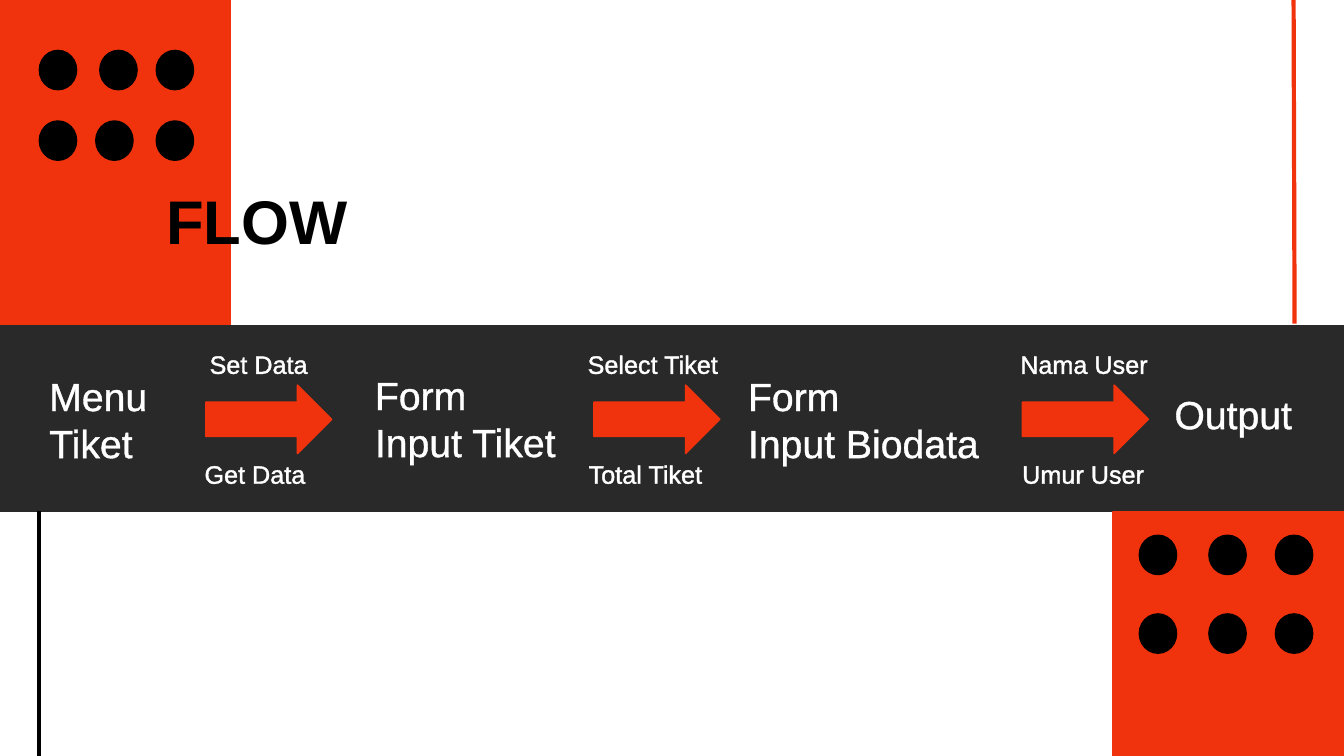
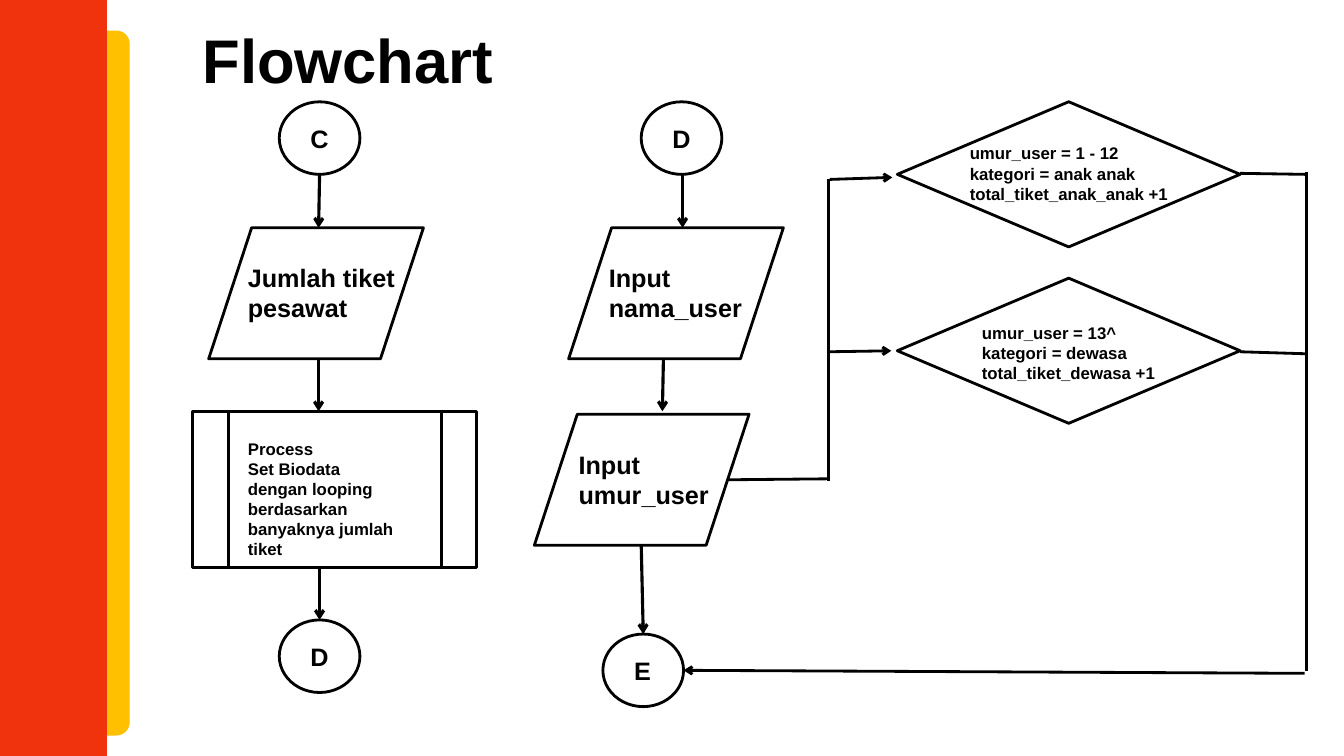
"""Build two slides: the ticket data flow and its flowchart."""
import itertools

import pptx
import pptx.dml.color
import pptx.enum.shapes
import pptx.enum.text
import pptx.oxml.ns
import pptx.util
from lxml import etree

GEOMETRY = pptx.enum.shapes.MSO_SHAPE
WIDTH, HEIGHT = 13.33, 7.5
FONT = "Arial"
RED, YELLOW, BLACK, WHITE, CHARCOAL = "F1330D", "FFC000", "000000", "FFFFFF", "292929"

BAND_TOP, BAND_HEIGHT = 3.23, 1.84
DOT_SIZE = (0.37, 0.39)
DOT_GRIDS = [
    [((0.39, 0.99, 1.55), 0.5), ((0.39, 0.95, 1.55), 1.2)],
    [((11.3, 11.99, 12.65), 5.31), ((11.3, 11.99, 12.65), 6.09)],
]
STAGES = [
    ("Menu\nTiket", 0.39, 3.64, 1.33, 1.04),
    ("Form\nInput Tiket", 3.62, 3.63, 2.21, 1.04),
    ("Form\nInput Biodata", 7.32, 3.64, 2.69, 1.04),
    ("Output", 11.55, 3.82, 1.47, 0.57),
]
TRANSFERS = [
    (2.04, ("Set Data", 1.98, 1.22), ("Get Data", 1.93, 1.31)),
    (5.89, ("Select Tiket", 5.73, 1.56), ("Total Tiket", 5.74, 1.4)),
    (10.14, ("Nama User", 10.02, 1.51), ("Umur User", 10.04, 1.51)),
]
TRANSFER_ROWS = (3.41, 4.5)

TERMINALS = [("C", 2.77, 1.01), ("D", 2.77, 6.15), ("D", 6.36, 1.01), ("E", 5.98, 6.29)]
TERMINAL_SIZE = (0.8, 0.72)
STEP_STYLES = {
    "input": (GEOMETRY.FLOWCHART_DATA, (2.13, 1.3), 2, 18),
    "process": (GEOMETRY.FLOWCHART_PREDEFINED_PROCESS, (2.82, 1.55), 2.25, 12),
    "decision": (GEOMETRY.FLOWCHART_DECISION, (3.4, 1.44), 2, 12),
}
STEPS = [
    ("input", (2.07, 2.26), "Jumlah tiket\npesawat", (2.36, 2.55, 1.66, 0.71)),
    ("process", (1.91, 4.08),
     "Process\vSet Biodata\ndengan looping\nberdasarkan\nbanyaknya jumlah tiket",
     (2.36, 4.3, 2.03, 1.11)),
    ("input", (5.64, 2.26), "Input\nnama_user", (5.94, 2.55, 1.52, 0.71)),
    ("input", (5.3, 4.11), "Input\numur_user", (5.64, 4.41, 1.49, 0.71)),
    ("decision", (8.9, 1.01),
     "umur_user = 1 - 12\nkategori = anak anak\ntotal_tiket_anak_anak +1",
     (9.52, 1.37, 2.17, 0.71)),
    ("decision", (8.9, 2.76),
     "umur_user = 13^\nkategori = dewasa\ntotal_tiket_dewasa +1",
     (9.64, 3.15, 1.92, 0.71)),
]
DOWNWARD_ARROWS = [
    (3.17, 1.73, 3.16, 2.26), (3.16, 3.56, 3.16, 4.08), (3.17, 5.63, 3.17, 6.15),
    (6.77, 1.73, 6.77, 2.26), (6.58, 3.56, 6.57, 4.08), (6.36, 5.41, 6.38, 6.29),
]
BRANCH_LINES = [
    (7.21, 4.76, 8.23, 4.75), (8.22, 4.77, 8.22, 1.78),
    (12.3, 1.72, 12.96, 1.73), (12.3, 3.49, 12.96, 3.51), (12.96, 1.71, 12.96, 6.66),
]
BRANCH_ARROWS = [
    (8.23, 1.78, 8.85, 1.76), (8.22, 3.49, 8.84, 3.48), (12.94, 6.68, 6.78, 6.65),
]


def inches(*lengths):
    return [pptx.util.Inches(length) for length in lengths]


def color(value):
    return pptx.dml.color.RGBColor.from_string(value)


def add_block(slide, geometry, box, fill, outline=None, weight=1):
    block = slide.shapes.add_shape(geometry, *inches(*box))
    block.shadow.inherit = False
    block.fill.solid()
    block.fill.fore_color.rgb = color(fill)
    block.line.color.rgb = color(outline or fill)
    block.line.width = pptx.util.Pt(weight)


def add_line(slide, ends, weight, ink=BLACK, arrow=False):
    line = slide.shapes.add_connector(
        pptx.enum.shapes.MSO_CONNECTOR.STRAIGHT, *inches(*ends))
    line.line.color.rgb = color(ink)
    line.line.width = pptx.util.Pt(weight)
    properties = line._element.spPr
    if arrow:
        stroke = properties.find(pptx.oxml.ns.qn("a:ln"))
        etree.SubElement(stroke, pptx.oxml.ns.qn("a:tailEnd"), type="arrow")
    etree.SubElement(properties, pptx.oxml.ns.qn("a:effectLst"))


def outline_text(run):
    stroke = etree.Element(pptx.oxml.ns.qn("a:ln"), w=str(pptx.util.Pt(0.75)))
    fill = etree.SubElement(stroke, pptx.oxml.ns.qn("a:solidFill"))
    etree.SubElement(fill, pptx.oxml.ns.qn("a:srgbClr"), val=WHITE)
    run._r.get_or_add_rPr().insert(0, stroke)


def add_text(slide, text, box, size, ink=BLACK, wrap=False):
    frame = slide.shapes.add_textbox(*inches(*box)).text_frame
    frame.text = text
    frame.word_wrap = wrap
    frame.auto_size = pptx.enum.text.MSO_AUTO_SIZE.SHAPE_TO_FIT_TEXT
    for paragraph in frame.paragraphs:
        for run in paragraph.runs:
            run.font.name = FONT
            run.font.size = pptx.util.Pt(size)
            run.font.bold = ink == BLACK
            run.font.color.rgb = color(ink)
            if ink == WHITE:
                outline_text(run)


def add_title(slide, text, left, top, width):
    add_text(slide, text, (left, top, width, 0.84), 44)


def build_flow(slide):
    band_bottom = BAND_TOP + BAND_HEIGHT
    add_block(slide, GEOMETRY.RECTANGLE, (0, 0, 2.28, BAND_TOP), RED)
    add_block(slide, GEOMETRY.RECTANGLE, (0, BAND_TOP, WIDTH, BAND_HEIGHT), CHARCOAL)
    add_block(slide, GEOMETRY.RECTANGLE, (11.04, 5.08, 2.3, 2.42), RED)
    add_title(slide, "FLOW", 1.55, 1.77, 2.08)
    for columns, top in itertools.chain(*DOT_GRIDS):
        for left in columns:
            add_block(slide, GEOMETRY.OVAL, (left, top, *DOT_SIZE), BLACK)
    for text, *box in STAGES:
        add_text(slide, text, box, 28, WHITE, wrap=True)
    for arrow_left, *labels in TRANSFERS:
        add_block(slide, GEOMETRY.RIGHT_ARROW, (arrow_left, 3.82, 1.25, 0.68), RED)
        for (text, left, width), top in zip(labels, TRANSFER_ROWS):
            add_text(slide, text, (left, top, width, 0.4), 18, WHITE, wrap=True)
    add_line(slide, (0.39, band_bottom, 0.39, HEIGHT), 3)
    add_line(slide, (12.83, 0, 12.84, 3.21), 3, RED)


def build_flowchart(slide):
    add_block(slide, GEOMETRY.ROUNDED_RECTANGLE, (0.53, 0.31, 0.75, 6.98), YELLOW)
    add_block(slide, GEOMETRY.RECTANGLE, (0, -0.02, 1.05, 7.59), RED)
    add_title(slide, "Flowchart", 1.91, 0.17, 3.09)
    for label, left, top in TERMINALS:
        add_block(slide, GEOMETRY.OVAL, (left, top, *TERMINAL_SIZE), WHITE, BLACK, 2)
        add_text(slide, label, (left + 0.21, top + 0.16, 0.38, 0.4), 18)
    for kind, corner, text, text_box in STEPS:
        geometry, extent, weight, size = STEP_STYLES[kind]
        add_block(slide, geometry, (*corner, *extent), WHITE, BLACK, weight)
        add_text(slide, text, text_box, size)
    for ends in DOWNWARD_ARROWS:
        add_line(slide, ends, 2.25, arrow=True)
    for ends in BRANCH_LINES:
        add_line(slide, ends, 2)
    for ends in BRANCH_ARROWS:
        add_line(slide, ends, 2, arrow=True)


def main():
    deck = pptx.Presentation()
    deck.slide_width, deck.slide_height = inches(WIDTH, HEIGHT)
    for build in (build_flow, build_flowchart):
        build(deck.slides.add_slide(deck.slide_layouts[6]))
    deck.save("out.pptx")


if __name__ == "__main__":
    main()
